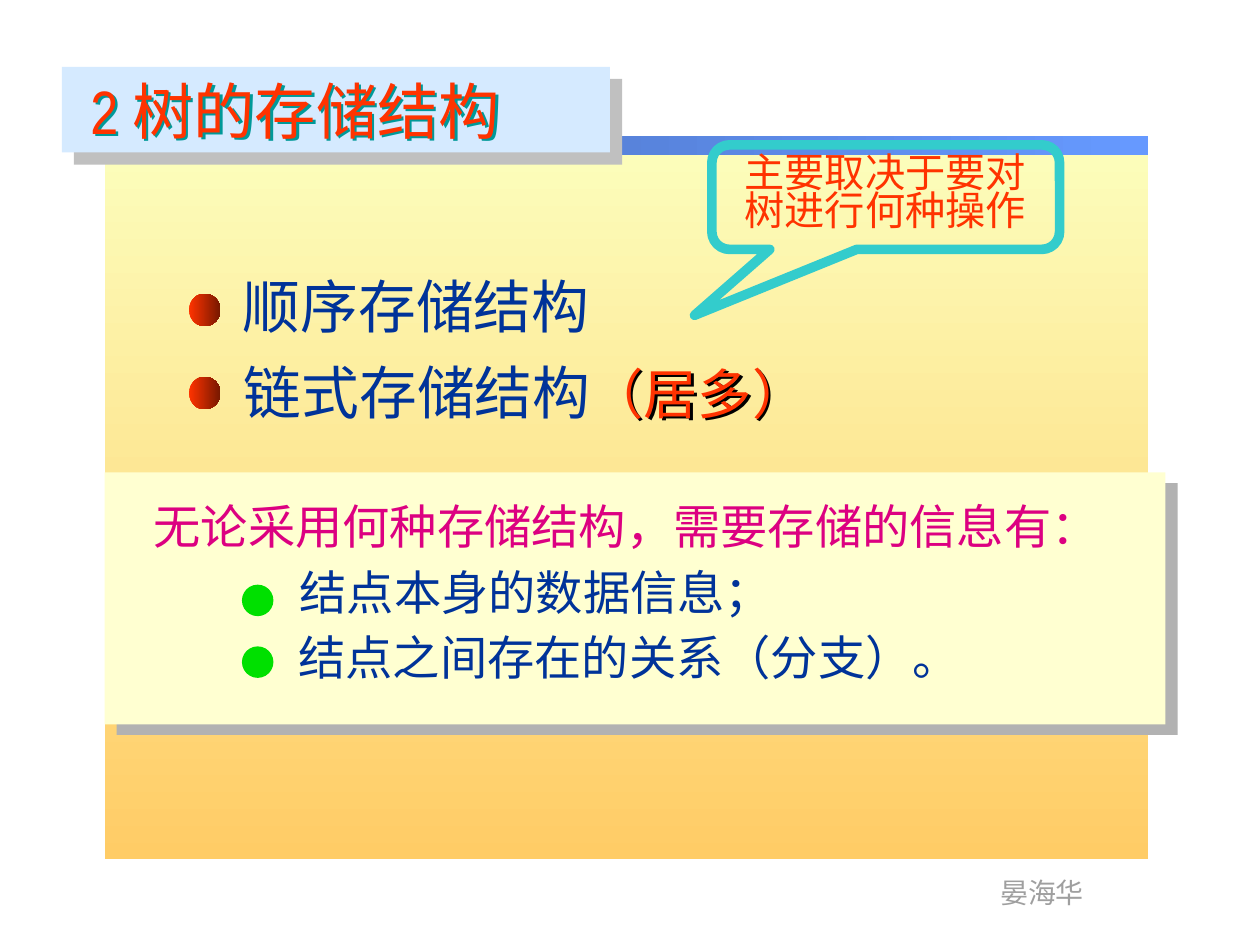
from lxml import etree
from pptx import Presentation
from pptx.dml.color import RGBColor
from pptx.enum.shapes import MSO_SHAPE
from pptx.enum.text import PP_ALIGN
from pptx.oxml.ns import qn
from pptx.util import Inches, Pt

RECT = MSO_SHAPE.RECTANGLE
OVAL = MSO_SHAPE.OVAL
CALLOUT = MSO_SHAPE.ROUNDED_RECTANGULAR_CALLOUT
CENTER = PP_ALIGN.CENTER

RED, BLUE, PINK = "FF3300", "003399", "DC0081"


def rgb(value):
    return RGBColor.from_string(value)


class SlideBuilder:
    latin = "Arial Narrow"
    east_asian = "Noto Sans CJK SC"

    def __init__(self, slide):
        self.slide = slide

    def shadow(self, sp, color, distance, angle):
        sp.shadow.inherit = False
        effects = sp._element.spPr.find(qn("a:effectLst"))
        outer = etree.SubElement(
            effects, qn("a:outerShdw"), blurRad="0",
            dist=str(Pt(distance)), dir=str(angle * 60000),
            algn="ctr", rotWithShape="0")
        etree.SubElement(outer, qn("a:srgbClr"), val=color)

    def shape(self, kind, box, fill=None, angle=0, line=None, shadow=None):
        """fill is a colour, a (start, end) gradient or None."""
        sp = self.slide.shapes.add_shape(kind, *map(Inches, box))
        sp.shadow.inherit = False
        if fill is None:
            sp.fill.background()
        elif isinstance(fill, str):
            sp.fill.solid()
            sp.fill.fore_color.rgb = rgb(fill)
        else:
            sp.fill.gradient()
            sp.fill.gradient_angle = angle
            for stop, color in zip(sp.fill.gradient_stops, fill):
                stop.color.rgb = rgb(color)
        if line:
            color, width = line
            sp.line.color.rgb = rgb(color)
            sp.line.width = Pt(width)
        else:
            sp.line.fill.background()
        if shadow:
            self.shadow(sp, *shadow)
        return sp

    def text(self, box, lines, size, color, wrap=True, shadow=None, **formats):
        sp = self.slide.shapes.add_textbox(*map(Inches, box))
        tf = sp.text_frame
        tf.word_wrap = wrap
        for i, line in enumerate(lines):
            p = tf.add_paragraph() if i else tf.paragraphs[0]
            for name, value in formats.items():
                setattr(p, name, value)
            r = p.add_run()
            r.text = line
            style = {"size": Pt(size), "name": self.latin}
            for name, value in style.items():
                setattr(r.font, name, value)
            r.font.color.rgb = rgb(color)
            ea = etree.SubElement(r._r.get_or_add_rPr(), qn("a:ea"))
            ea.set("typeface", self.east_asian)
        if shadow:
            self.shadow(sp, *shadow)
        return sp


def main():
    prs = Presentation()
    prs.slide_width, prs.slide_height = Inches(10), Inches(7.5)
    s = SlideBuilder(prs.slides.add_slide(prs.slide_layouts[6]))

    # Background panel, top bar and footer
    s.shape(RECT, (0.83, 1.1, 8.28, 5.72), ("FCFEBC", "FFCC66"), angle=270)
    s.shape(RECT, (0.84, 1.08, 8.27, 0.15), ("496DB6", "6699FF"))
    s.text((7.84, 6.9, 0.87, 0.37), ["晏海华"], 16, "9F9F9F", wrap=False)

    # Title
    s.shape(RECT, (0.49, 0.53, 4.35, 0.68), "D5EAFF",
            shadow=("C0C0C0", 9.9, 45))
    s.text((0.62, 0.53, 4.17, 0.68), ["2 树的存储结构"], 35, RED,
           shadow=("009999", 2, 45))

    # Two storage structures
    s.text((1.83, 2.1, 4.08, 0.65), ["顺序存储结构"], 33, BLUE)
    s.text((1.52, 2.78, 3.58, 0.65), ["链式存储结构"], 33, BLUE,
           alignment=CENTER)
    for top in (2.33, 2.99):
        s.shape(OVAL, (1.5, top, 0.25, 0.26), (RED, "761800"))
    s.text((4.58, 2.81, 2.25, 0.62), ["（居多）"], 31, RED,
           shadow=("000000", 2, 45))

    # Callout
    s.text((5.81, 1.19, 3.28, 0.72), ["主要取决于要对", "树进行何种操作"],
           23, RED, line_spacing=0.8)
    callout = s.shape(CALLOUT, (5.65, 1.15, 2.76, 0.83), line=("33CCCC", 5.5))
    for i, value in enumerate((-0.55, 1.13, 0.17)):
        callout.adjustments[i] = value

    # Information to be stored
    s.shape(RECT, (0.83, 3.75, 8.42, 2), "FFFFD1", shadow=("B2B2B2", 9.2, 41))
    s.text((1.12, 3.9, 7.75, 0.55),
           ["无论采用何种存储结构，需要存储的信息有："], 27, PINK)
    s.text((2.28, 4.47, 5, 0.51), ["结点本身的数据信息；"], 27, BLUE,
           line_spacing=0.9)
    s.text((2.27, 4.94, 5.46, 0.55), ["结点之间存在的关系（分支）。"], 27, BLUE)
    for top in (4.64, 5.13):
        s.shape(OVAL, (1.92, top, 0.25, 0.25), "00E000")

    prs.save("out.pptx")


if __name__ == "__main__":
    main()
